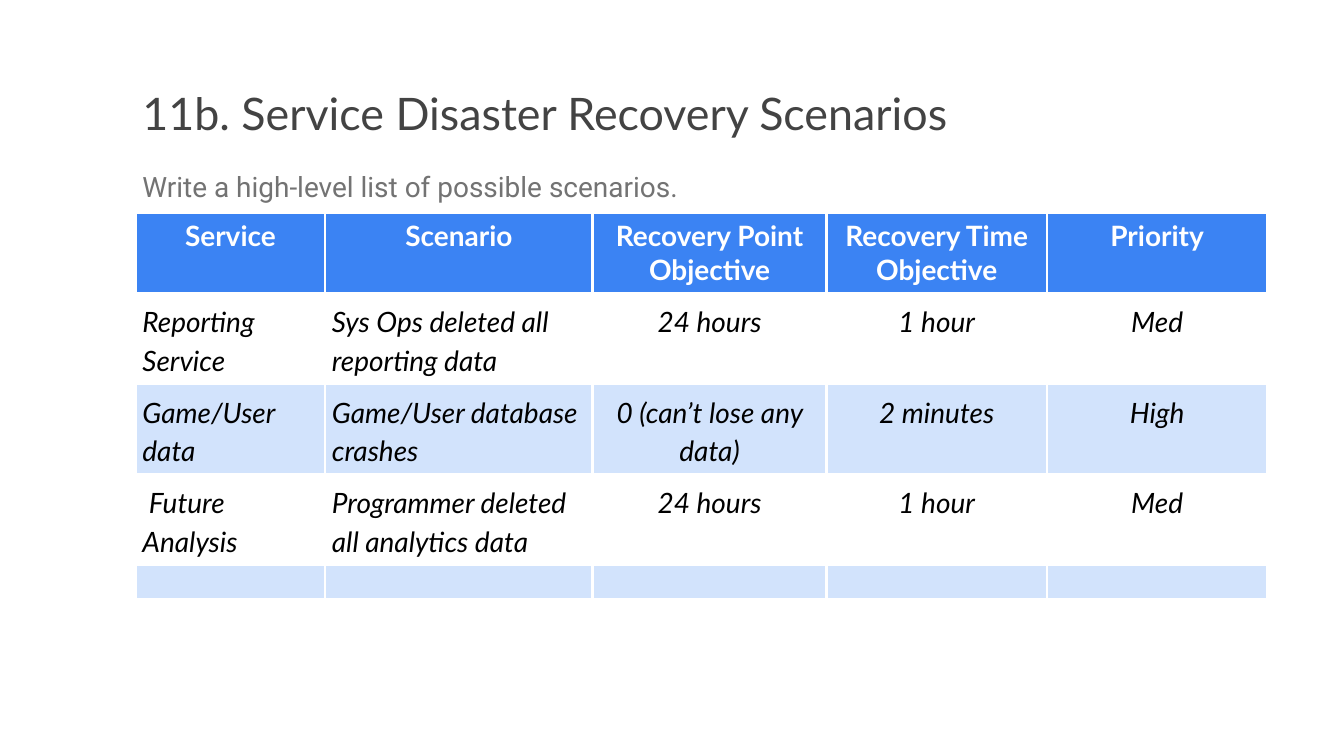
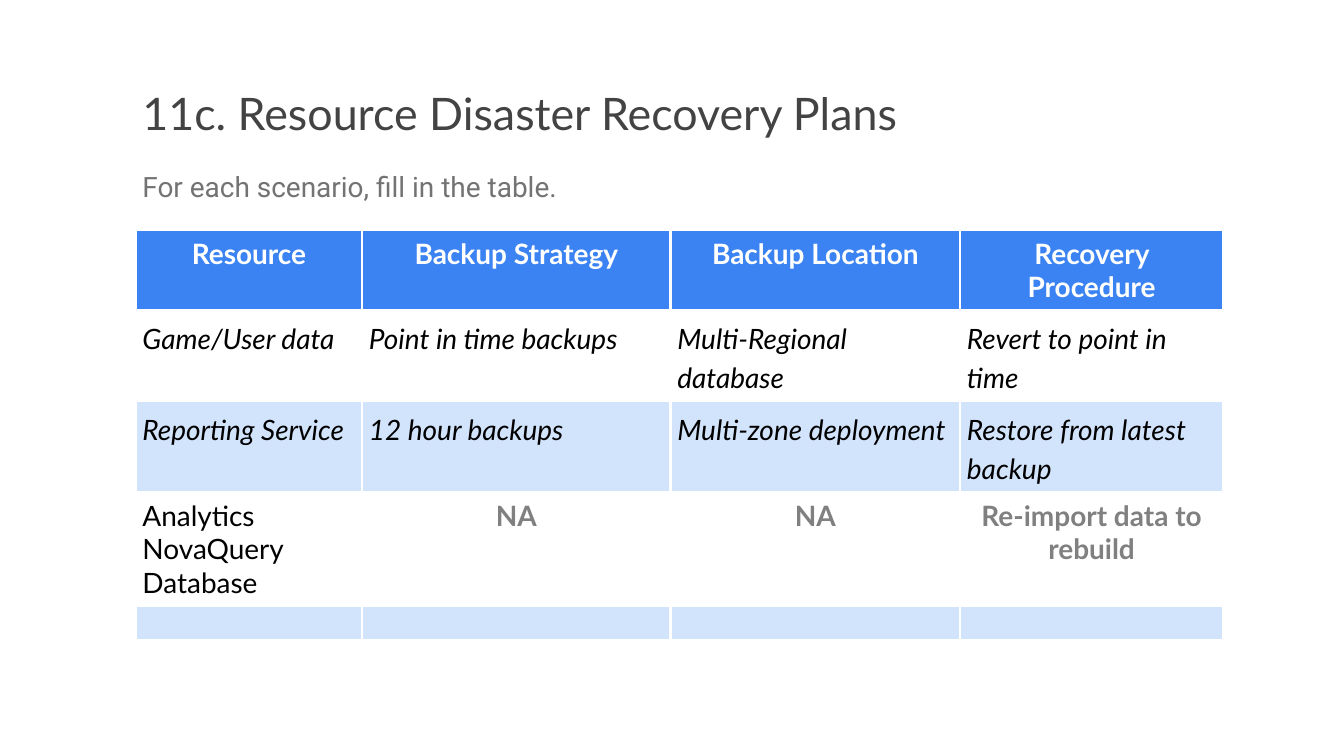
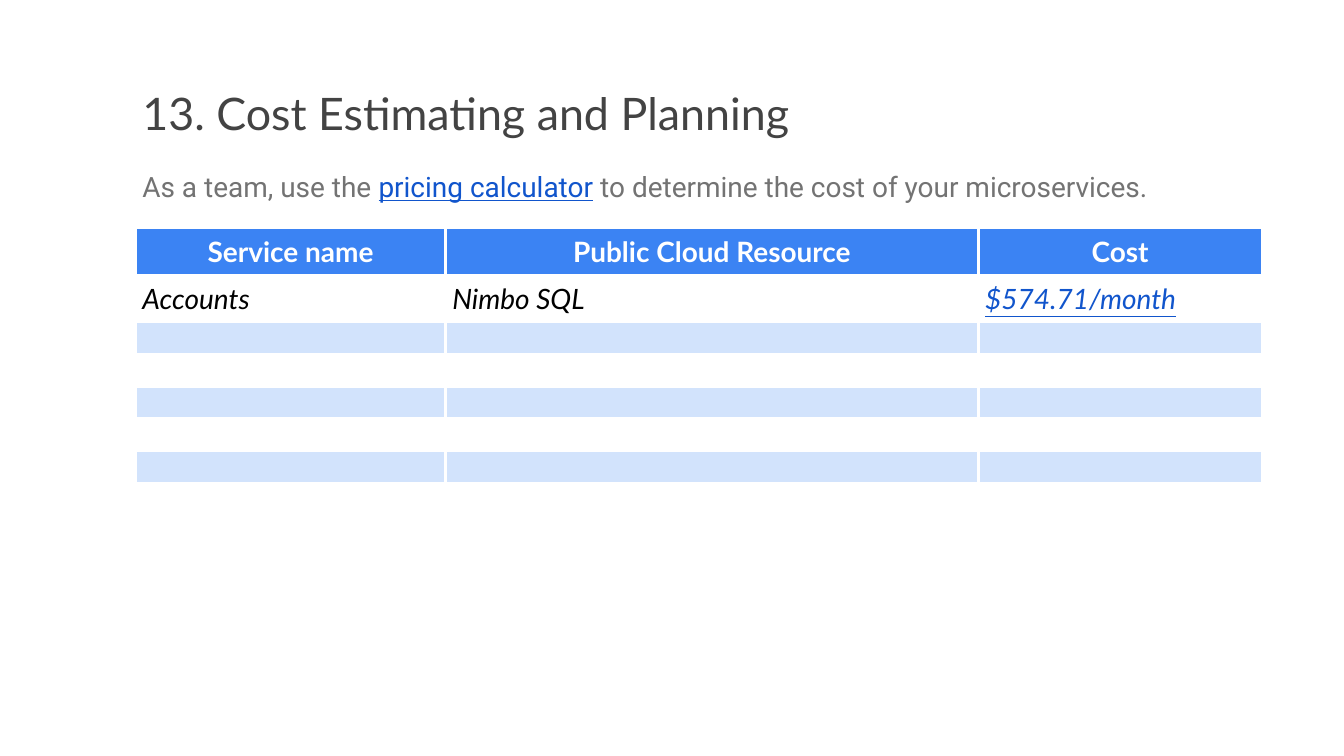
from dataclasses import dataclass
from lxml import etree
from pptx import Presentation
from pptx.dml.color import RGBColor
from pptx.enum.text import PP_ALIGN
from pptx.oxml.ns import qn
from pptx.util import Inches, Pt

LEFT, CENTER = PP_ALIGN.LEFT, PP_ALIGN.CENTER


@dataclass(frozen=True)
class Theme:
    heading_font: str = "Lato"
    intro_font: str = "Roboto"
    title_size: int = 48
    text_size: int = 30
    blank_size: int = 12
    title: str = "434343"
    intro: str = "737373"
    link: str = "1155CC"
    header: str = "3B83F3"
    band: str = "D2E3FC"
    white: str = "FFFFFF"
    black: str = "000000"
    grey: str = "808080"
    border: int = 3


T = Theme()
MARGIN = 2.02
INSET = 0.1

INTRO = dict(font=T.intro_font, color=T.intro, line=1.15, after=16)
INTRO_LINK = dict(INTRO, color=T.link, underline=True)
HEAD = dict(color=T.white, bold=True, align=CENTER)
SINGLE = dict(color=T.black, italic=True)
BODY = dict(SINGLE, line=1.15)
MIDDLE = dict(BODY, align=CENTER)
PLAIN = dict(color=T.black)
STRONG = dict(color=T.grey, bold=True, align=CENTER)
COST_LINK = dict(SINGLE, color=T.link, underline=True)

SCENARIO_STYLES = [BODY, BODY, MIDDLE, MIDDLE, MIDDLE]
PLAN_STYLES = [BODY] * 4

SLIDES = [
    dict(
        title="11b. Service Disaster Recovery Scenarios",
        intro=[("Write a high-level list of possible scenarios.", INTRO)],
        intro_size=(14.7, 0.8),
        top=3.16,
        cols=[2.82, 3.98, 3.48, 3.28, 3.28],
        heights=[0.7, 0.61, 0.5, 0.5, 0.5, 0.5],
        header=["Service", "Scenario", "Recovery Point Objective",
                "Recovery Time Objective", "Priority"],
        rows=[
            (SCENARIO_STYLES, ["Reporting Service", "Sys Ops deleted all reporting data",
                               "24 hours", "1 hour", "Med"]),
            (SCENARIO_STYLES, ["Game/User data", "Game/User database crashes",
                               "0 (can’t lose any data)", "2 minutes", "High"]),
            (SCENARIO_STYLES, [" Future Analysis", "Programmer deleted all analytics data",
                               "24 hours", "1 hour", "Med"]),
        ],
    ),
    dict(
        title="11c. Resource Disaster Recovery Plans",
        intro=[("For each scenario, fill in the table.", INTRO)],
        intro_size=(17.26, 0.9),
        top=3.42,
        cols=[3.37, 4.59, 4.31, 3.91],
        heights=[0.7, 0.61, 0.5, 0.5, 0.5, 0.5],
        header=["Resource", "Backup Strategy", "Backup Location", "Recovery Procedure"],
        rows=[
            (PLAN_STYLES, ["Game/User data", "Point in time backups",
                           "Multi-Regional database", "Revert to point in time"]),
            (PLAN_STYLES, ["Reporting Service", "12 hour backups",
                           "Multi-zone deployment", "Restore from latest backup"]),
            ([PLAIN, STRONG, STRONG, STRONG],
             ["Analytics NovaQuery Database", "NA", "NA", "Re-import data to rebuild"]),
        ],
    ),
    dict(
        title="13. Cost Estimating and Planning",
        intro=[("As a team, use the ", INTRO), ("pricing calculator", INTRO_LINK),
               (" to determine the cost of your microservices.", INTRO)],
        intro_size=(16.75, 0.83),
        top=3.39,
        cols=[4.61, 7.93, 4.22],
        heights=[0.7, 0.7] + [0.48] * 6,
        header=["Service name", "Public Cloud Resource", "Cost"],
        rows=[([SINGLE, SINGLE, COST_LINK], ["Accounts", "Nimbo SQL", "$574.71/month"])],
    ),
]


def write(p, text, font=T.heading_font, size=T.text_size, color=T.black, bold=False,
          italic=False, underline=False, align=LEFT, line=1.0, after=0):
    p.alignment, p.line_spacing, p.space_after = align, line, Pt(after)
    r = p.add_run()
    r.text = text
    f = r.font
    f.name, f.size, f.bold, f.italic, f.underline = font, Pt(size), bold, italic, underline
    f.color.rgb = RGBColor.from_string(color)


def add_box(s, top, width, height, runs):
    sp = s.shapes.add_textbox(*map(Inches, (MARGIN, top, width, height)))
    tf = sp.text_frame
    tf.word_wrap = True
    tf.margin_left = tf.margin_right = tf.margin_top = tf.margin_bottom = Inches(INSET)
    for text, style in runs:
        write(tf.paragraphs[0], text, **style)


def add_borders(cell):
    tc_pr = cell._tc.get_or_add_tcPr()
    for side in ("lnL", "lnR", "lnT", "lnB"):
        ln = etree.SubElement(tc_pr, qn(f"a:{side}"), w=str(Pt(T.border)))
        fill = etree.SubElement(ln, qn("a:solidFill"))
        etree.SubElement(fill, qn("a:srgbClr"), val=T.white)


def fill_cell(cell, text, style, fill):
    cell.margin_left = cell.margin_right = Inches(INSET)
    cell.margin_top = cell.margin_bottom = Inches(INSET)
    add_borders(cell)
    if fill:
        cell.fill.solid()
        cell.fill.fore_color.rgb = RGBColor.from_string(fill)
    else:
        cell.fill.background()
    p = cell.text_frame.paragraphs[0]
    if text:
        write(p, text, **style)
    else:
        etree.SubElement(p._p, qn("a:endParaRPr"), sz=str(T.blank_size * 100))


def add_grid(s, top, cols, heights, header, rows):
    table = s.shapes.add_table(len(heights), len(cols), *map(
        Inches, (MARGIN, top, sum(cols), sum(heights)))).table
    table.first_row = table.horz_banding = False
    for column, width in zip(table.columns, cols):
        column.width = Inches(width)
    content = [([HEAD] * len(cols), header)] + rows
    blank = ([PLAIN] * len(cols), [""] * len(cols))
    content += [blank] * (len(heights) - len(content))
    for i, (styles, texts) in enumerate(content):
        table.rows[i].height = Inches(heights[i])
        fill = T.header if i == 0 else T.band if i % 2 == 0 else None
        for j, (text, style) in enumerate(zip(texts, styles)):
            fill_cell(table.cell(i, j), text, style, fill)


prs = Presentation()
prs.slide_width, prs.slide_height = Inches(20), Inches(11.25)
for data in SLIDES:
    s = prs.slides.add_slide(prs.slide_layouts[6])
    s.background.fill.solid()
    s.background.fill.fore_color.rgb = RGBColor.from_string(T.white)
    add_box(s, 1.18, 15.98, 1.18,
            [(data["title"], dict(size=T.title_size, color=T.title))])
    add_box(s, 2.35, *data["intro_size"], data["intro"])
    add_grid(s, data["top"], data["cols"], data["heights"], data["header"], data["rows"])
prs.save("out.pptx")
